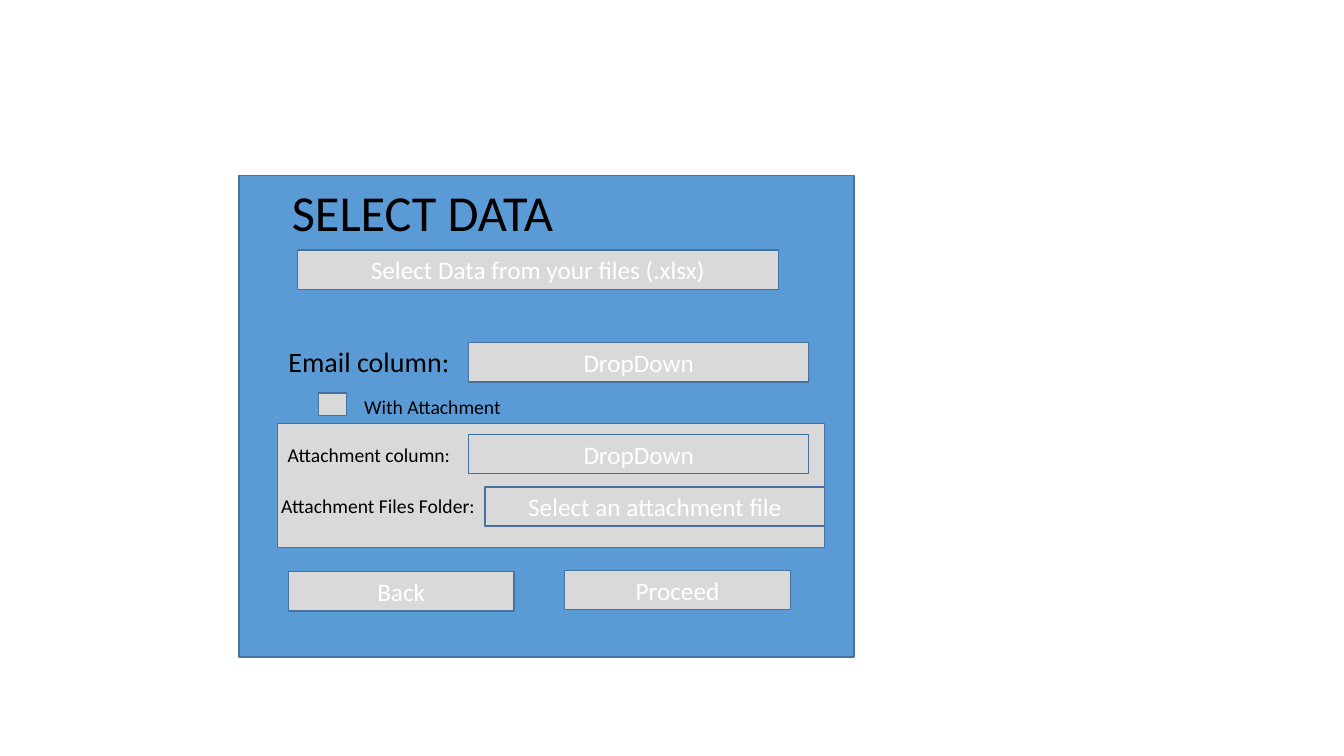
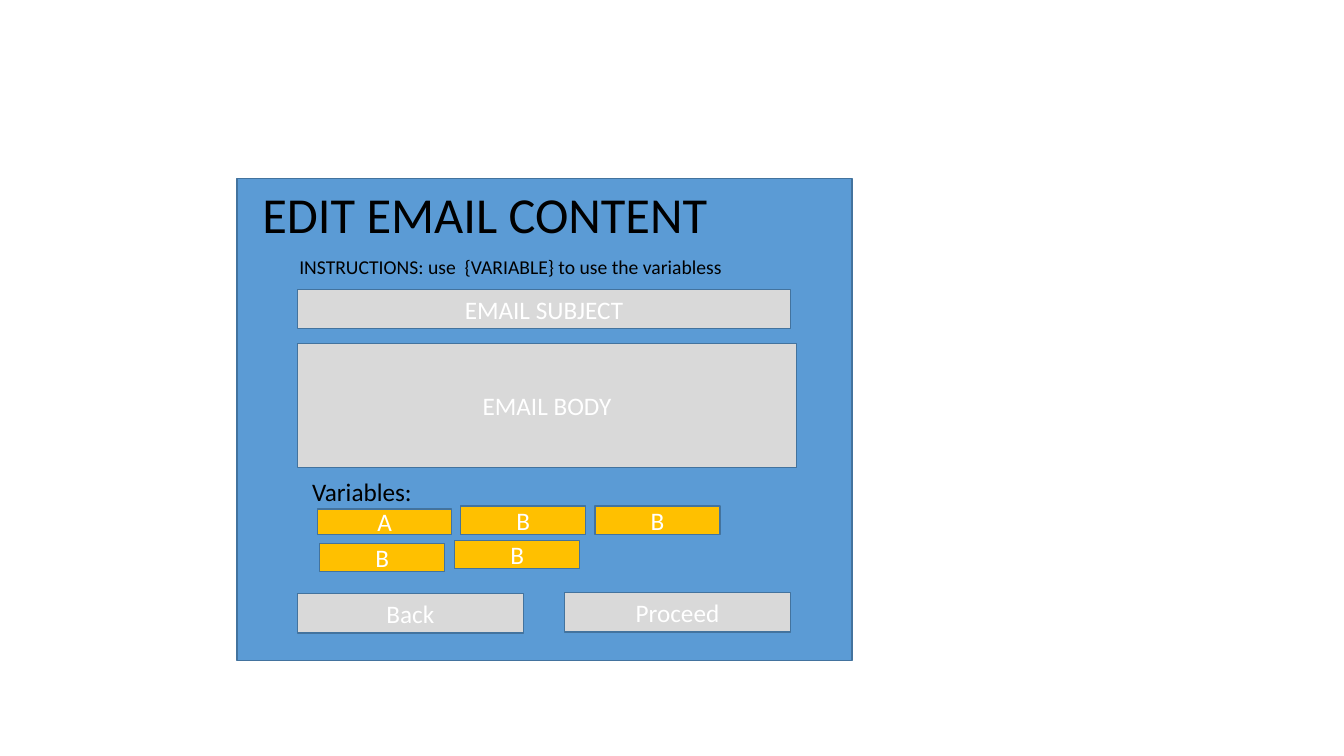
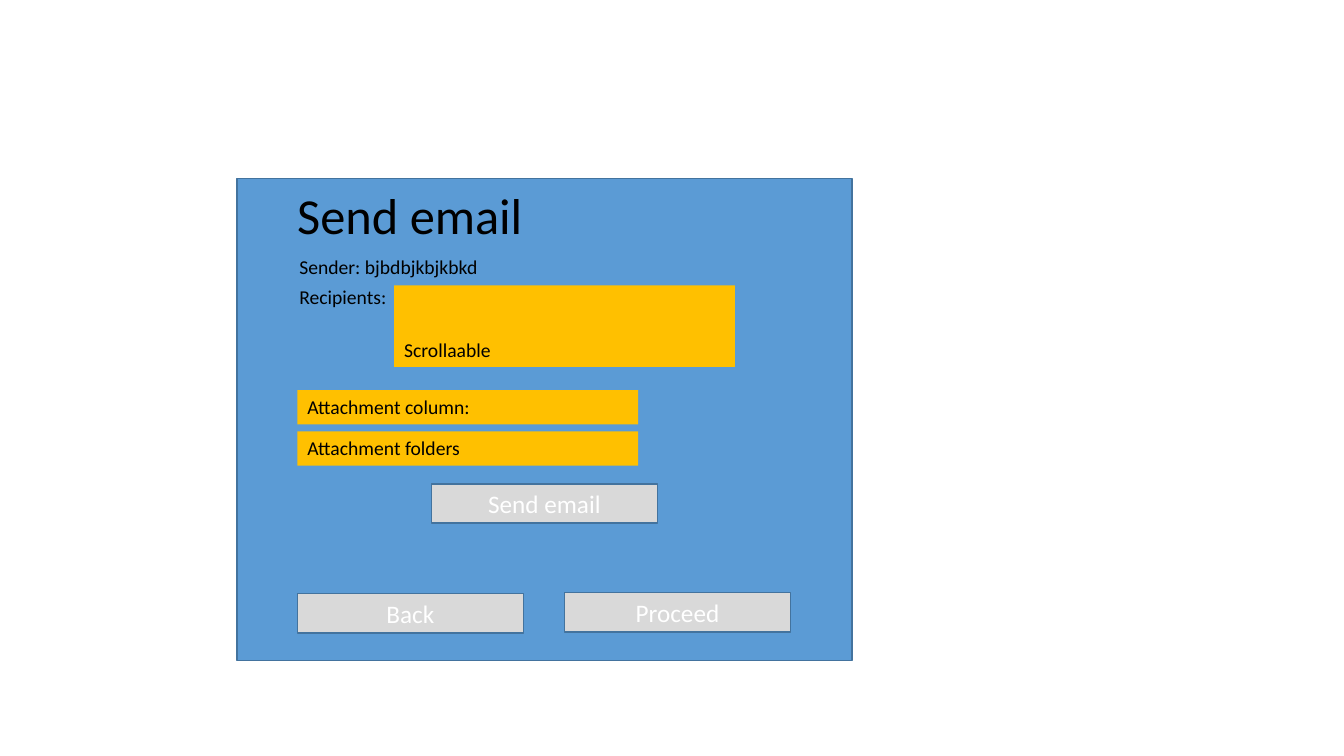
from dataclasses import dataclass
from typing import Optional

from pptx import Presentation
from pptx.dml.color import RGBColor
from pptx.enum import shapes, text
from pptx.util import Inches, Pt

MID, TOP, LOW = text.MSO_ANCHOR.MIDDLE, text.MSO_ANCHOR.TOP, text.MSO_ANCHOR.BOTTOM
CENTER, LEFT = text.PP_ALIGN.CENTER, text.PP_ALIGN.LEFT


@dataclass(frozen=True)
class Theme:
    font: str = "Calibri"
    panel: str = "5B9BD5"
    field: str = "D9D9D9"
    accent: str = "FFC000"
    edge: str = "43739E"
    dark: str = "000000"
    light: str = "FFFFFF"
    head: int = 36
    lead: int = 20
    body: int = 18
    note: int = 14


THEME = Theme()


@dataclass(frozen=True)
class Style:
    fill: Optional[str] = None
    edge: Optional[str] = None
    ink: str = THEME.dark
    size: int = THEME.note
    align: text.PP_ALIGN = LEFT
    anchor: text.MSO_ANCHOR = TOP
    wrap: bool = True


PANEL = Style(THEME.panel, THEME.edge)
FIELD = Style(THEME.field, THEME.edge, THEME.light, THEME.body, CENTER, MID)
CHIP = Style(THEME.accent, THEME.edge, THEME.light, THEME.body, CENTER, MID)
LIST = Style(THEME.accent)
SCROLL = Style(THEME.accent, anchor=LOW)
TITLE = Style(size=THEME.head, align=CENTER, wrap=False)
LEAD = Style(size=THEME.lead, align=CENTER)
LABEL = Style(size=THEME.body, align=CENTER)
NOTE = Style(align=CENTER)
LINE = Style()


@dataclass(frozen=True)
class Box:
    style: Style
    left: float
    top: float
    wide: float
    high: float
    words: str = ""


@dataclass(frozen=True)
class Page:
    panel: Box
    title: Box
    boxes: list[Box]


def panel(left: float, top: float) -> Box:
    return Box(PANEL, left, top, 6.1, 4.78)


def field(words: str, left: float, top: float, wide: float) -> Box:
    return Box(FIELD, left, top, wide, 0.39, words)


def button(words: str, left: float, top: float) -> Box:
    return field(words, left, top, 2.24)


def note(words: str, left: float, top: float) -> Box:
    return Box(NOTE, left, top, 3.16, 0.34, words)


def line(words: str, top: float) -> Box:
    return Box(LINE, 2.87, top, 5.13, 0.34, words)


def chip(words: str, left: float, top: float) -> Box:
    return Box(CHIP, left, top, 1.24, 0.28, words)


def entry(words: str, top: float) -> Box:
    return Box(LIST, 2.95, top, 3.38, 0.34, words)


def nav(left: float, top: float) -> list[Box]:
    """Back and Proceed, at the foot of every panel."""
    return [button("Proceed", 5.6, top), button("Back", left, top + 0.01)]


PAGES = [
    Page(
        panel(2.37, 1.74),
        Box(TITLE, 2.78, 1.75, 2.82, 0.71, "SELECT DATA"),
        [
            Box(FIELD, 2.75, 4.2, 5.43, 1.23),
            field("Select Data from your files (.xlsx)", 2.95, 2.48, 4.77),
            Box(LEAD, 2.08, 3.37, 3.16, 0.44, "Email column:"),
            field("DropDown", 4.65, 3.4, 3.37),
            Box(FIELD, 3.16, 3.9, 0.28, 0.22),
            note("With Attachment", 2.71, 3.87),
            note("Attachment column:", 2.08, 4.34),
            field("DropDown", 4.65, 4.31, 3.37),
            note("Attachment Files Folder:", 2.17, 4.85),
            field("Select an attachment file", 4.81, 4.83, 3.37),
            *nav(2.86, 5.66),
        ],
    ),
    Page(
        panel(2.35, 1.77),
        Box(TITLE, 2.48, 1.77, 4.66, 0.71, "EDIT EMAIL CONTENT"),
        [
            line("INSTRUCTIONS: use  {VARIABLE} to use the variabless", 2.48),
            field("EMAIL SUBJECT", 2.95, 2.87, 4.89),
            Box(FIELD, 2.95, 3.41, 4.95, 1.23, "EMAIL BODY"),
            Box(CHIP, 3.15, 5.05, 1.33, 0.25, "A"),
            Box(LABEL, 2.67, 4.68, 1.84, 0.4, "Variables:"),
            chip("B", 4.57, 5.02),
            chip("B", 5.9, 5.02),
            chip("B", 3.17, 5.39),
            chip("B", 4.51, 5.36),
            *nav(2.95, 5.88),
        ],
    ),
    Page(
        panel(2.35, 1.77),
        Box(TITLE, 2.84, 1.78, 2.45, 0.71, "Send email"),
        [
            line("Sender: bjbdbjkbjkbkd", 2.48),
            line("Recipients:", 2.78),
            Box(SCROLL, 3.91, 2.83, 3.38, 0.81, "Scrollaable"),
            entry("Attachment column:", 3.87),
            entry("Attachment folders", 4.28),
            button("Send email", 4.28, 4.8),
            *nav(2.95, 5.88),
        ],
    ),
]


def place(box: Box) -> tuple:
    return tuple(Inches(n) for n in (box.left, box.top, box.wide, box.high))


def write(shape, box: Box) -> None:
    style, frame = box.style, shape.text_frame
    frame.word_wrap = style.wrap
    frame.auto_size = text.MSO_AUTO_SIZE.NONE
    frame.vertical_anchor = style.anchor
    para = frame.paragraphs[0]
    para.alignment = style.align
    run = para.add_run()
    run.text = box.words
    run.font.name = THEME.font
    run.font.size = Pt(style.size)
    run.font.color.rgb = RGBColor.from_string(style.ink)


def draw(slide, box: Box):
    style = box.style
    if style.fill:
        shape = slide.shapes.add_shape(shapes.MSO_SHAPE.RECTANGLE, *place(box))
        shape.shadow.inherit = False
        shape.fill.solid()
        shape.fill.fore_color.rgb = RGBColor.from_string(style.fill)
        if style.edge:
            shape.line.color.rgb = RGBColor.from_string(style.edge)
            shape.line.width = Pt(1)
        else:
            shape.line.fill.background()
    else:
        shape = slide.shapes.add_textbox(*place(box))
    if box.words:
        write(shape, box)
    return shape


def build(deck, page: Page) -> None:
    slide = deck.slides.add_slide(deck.slide_layouts.get_by_name("Title Only"))
    title = slide.shapes.title
    title.left, title.top, title.width, title.height = place(page.title)
    write(title, page.title)
    title.element.addprevious(draw(slide, page.panel).element)
    for box in page.boxes:
        draw(slide, box)


def main() -> None:
    deck = Presentation()
    deck.slide_width, deck.slide_height = Inches(13.33), Inches(7.5)
    for page in PAGES:
        build(deck, page)
    deck.save("out.pptx")


if __name__ == "__main__":
    main()
